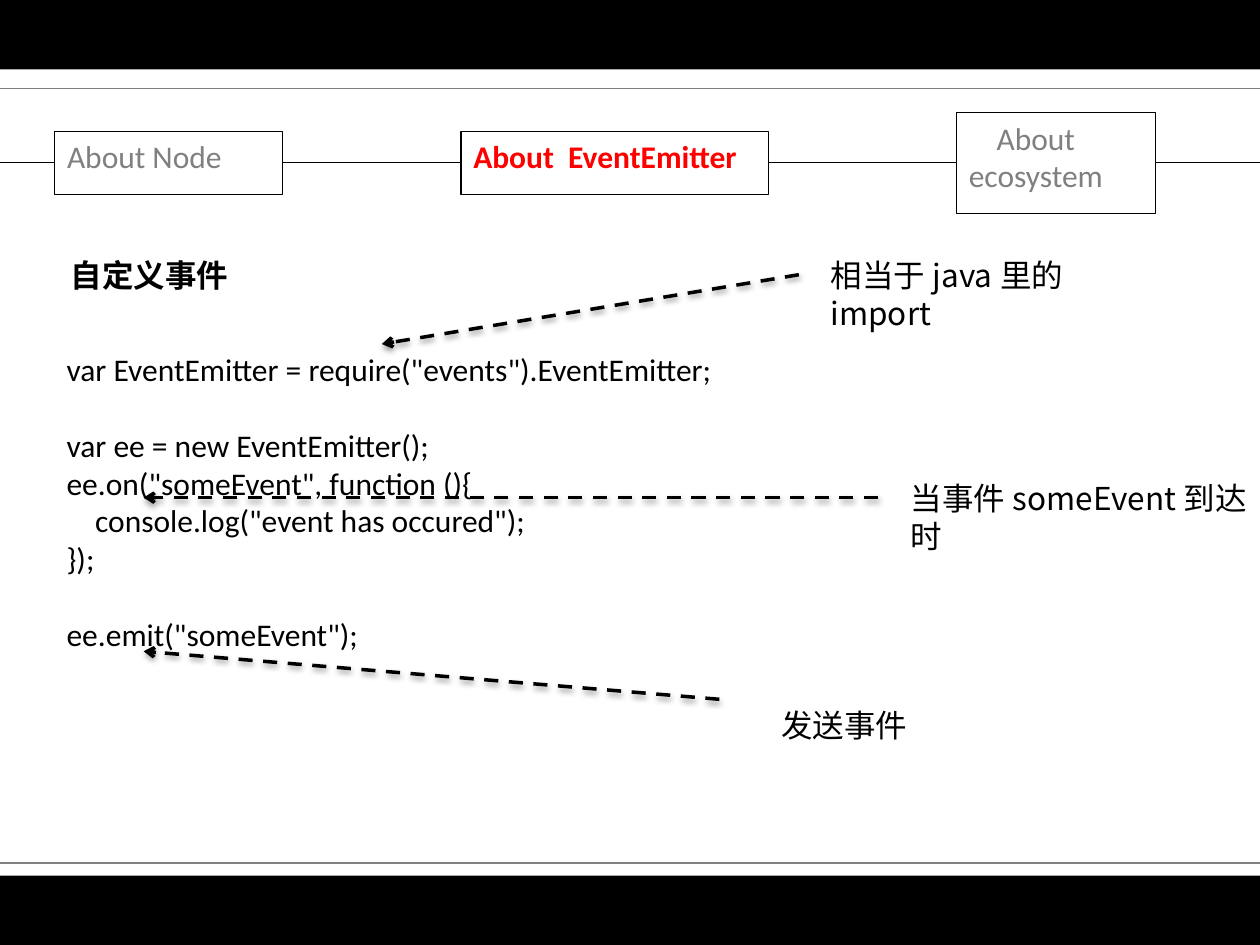
from lxml import etree
from pptx import Presentation
from pptx.dml.color import RGBColor
from pptx.enum.dml import MSO_LINE
from pptx.enum.shapes import MSO_CONNECTOR, MSO_SHAPE
from pptx.enum.text import MSO_ANCHOR, MSO_AUTO_SIZE, PP_ALIGN
from pptx.oxml import parse_xml
from pptx.oxml.ns import qn
from pptx.util import Pt

RECT = MSO_SHAPE.RECTANGLE
STRAIGHT = MSO_CONNECTOR.STRAIGHT
DASH = MSO_LINE.DASH
LEFT, CENTER = PP_ALIGN.LEFT, PP_ALIGN.CENTER

BLACK = RGBColor(0x00, 0x00, 0x00)
WHITE = RGBColor(0xFF, 0xFF, 0xFF)
GRAY = RGBColor(0x80, 0x80, 0x80)
RED = RGBColor(0xFF, 0x00, 0x00)

LATIN, CJK = "Calibri", "Noto Sans CJK SC"
WIDTH, HEIGHT = 720, 540
BAND = 39.6

SHADOW = (
    '<a:effectLst xmlns:a="http://schemas.openxmlformats.org/drawingml/2006/main">'
    '<a:outerShdw blurRad="40000" dist="20000" dir="5400000" rotWithShape="0">'
    '<a:srgbClr val="000000"><a:alpha val="38000"/></a:srgbClr>'
    '</a:outerShdw></a:effectLst>'
)


def add_run(p, text, font, color=BLACK, bold=False):
    """Add an 18 pt run, with the font set for Latin and East Asian text."""
    r = p.add_run()
    r.text = text
    r.font.size = Pt(18)
    r.font.bold = bold
    r.font.color.rgb = color
    r.font.name = font
    ea = etree.SubElement(r.font._element, qn("a:ea"))
    ea.set("typeface", font)


def add_line(x1, y1, x2, y2, color, width):
    s = slide.shapes.add_connector(STRAIGHT, Pt(x1), Pt(y1), Pt(x2), Pt(y2))
    s.line.color.rgb = color
    s.line.width = Pt(width)
    return s


prs = Presentation()
prs.slide_width, prs.slide_height = Pt(WIDTH), Pt(HEIGHT)
slide = prs.slides.add_slide(prs.slide_layouts[5])

# Black bands and the thin rules beside them
for top in (HEIGHT - BAND, 0):
    s = slide.shapes.add_shape(RECT, Pt(0), Pt(top), Pt(WIDTH), Pt(BAND))
    s.shadow.inherit = False
    s.fill.solid()
    s.fill.fore_color.rgb = BLACK
    s.line.fill.background()

# Rules, then the navigation line
for y, color in ((493.2, GRAY), (50.4, GRAY), (93, BLACK)):
    s = add_line(0, y, WIDTH, y, color, 0.75)
    etree.SubElement(s._element.spPr, qn("a:effectLst"))

# Navigation boxes: text, left, top, width, height, colour, bold, align, insets
tabs = (
    ("About Node", 31.2, 75, 130.3, 36, GRAY, False, LEFT, 7.2, 7.2),
    ("About  EventEmitter", 263.4, 75, 175.7, 36, RED, True, LEFT, 7.2, 0),
    ("About ecosystem", 546.5, 64.2, 113.8, 58, GRAY, False, CENTER, 3, 26),
)
for text, x, y, w, h, color, bold, align, inset_left, inset_right in tabs:
    s = slide.shapes.add_shape(RECT, Pt(x), Pt(y), Pt(w), Pt(h))
    s.shadow.inherit = False
    s.fill.solid()
    s.fill.fore_color.rgb = WHITE
    s.line.color.rgb = BLACK
    s.line.width = Pt(0.75)
    tf = s.text_frame
    tf.word_wrap = True
    tf.vertical_anchor = MSO_ANCHOR.TOP
    tf.margin_left, tf.margin_right = Pt(inset_left), Pt(inset_right)
    p = tf.paragraphs[0]
    p.alignment = align
    add_run(p, text, LATIN, color, bold)

# Title
title = slide.shapes.title
title.left, title.top, title.width, title.height = Pt(33.1), Pt(142.6), Pt(110), Pt(29)
tf = title.text_frame
tf.word_wrap = False
tf.auto_size = MSO_AUTO_SIZE.NONE
tf.vertical_anchor = MSO_ANCHOR.TOP
p = tf.paragraphs[0]
p.alignment = LEFT
add_run(p, "自定义事件", CJK, bold=True)

# Code listing: text, space before, indent
code = (
    ('var EventEmitter = require("events").EventEmitter;', 0, 0),
    ("var ee = new EventEmitter();", 21.6, 0),
    ('ee.on("someEvent", function (){', 0, 0),
    ('console.log("event has occured");', 0, 16.3),
    ("});", 0, 0),
    ('ee.emit("someEvent");', 21.6, 0),
)
s = slide.shapes.add_textbox(Pt(31), Pt(196.6), Pt(388), Pt(204))
tf = s.text_frame
tf.word_wrap = False
for i, (text, before, indent) in enumerate(code):
    p = tf.add_paragraph() if i else tf.paragraphs[0]
    p.space_before = Pt(before)
    if indent:
        p._p.get_or_add_pPr().set("marL", str(Pt(indent)))
    add_run(p, text, LATIN)

# Annotations
notes = (
    ("相当于java里的import", 467.6, 142.6, 198.7),
    ("当事件someEvent到达时", 513.4, 270, 218.9),
    ("发送事件", 439.2, 399.6, 87.1),
)
for text, x, y, w in notes:
    s = slide.shapes.add_textbox(Pt(x), Pt(y), Pt(w), Pt(29))
    s.text_frame.word_wrap = True
    add_run(s.text_frame.paragraphs[0], text, CJK)

# Arrows from the annotations to the code
arrows = (
    (456.5, 157, 218.2, 196.6),
    (411.1, 399.6, 82.1, 372.2),
    (501.8, 284.4, 82.1, 284.4),
)
for ends in arrows:
    s = add_line(*ends, BLACK, 2)
    s.line.dash_style = DASH
    tail = etree.SubElement(s.line._get_or_add_ln(), qn("a:tailEnd"))
    tail.set("type", "arrow")
    s._element.spPr.append(parse_xml(SHADOW))

prs.save("out.pptx")
